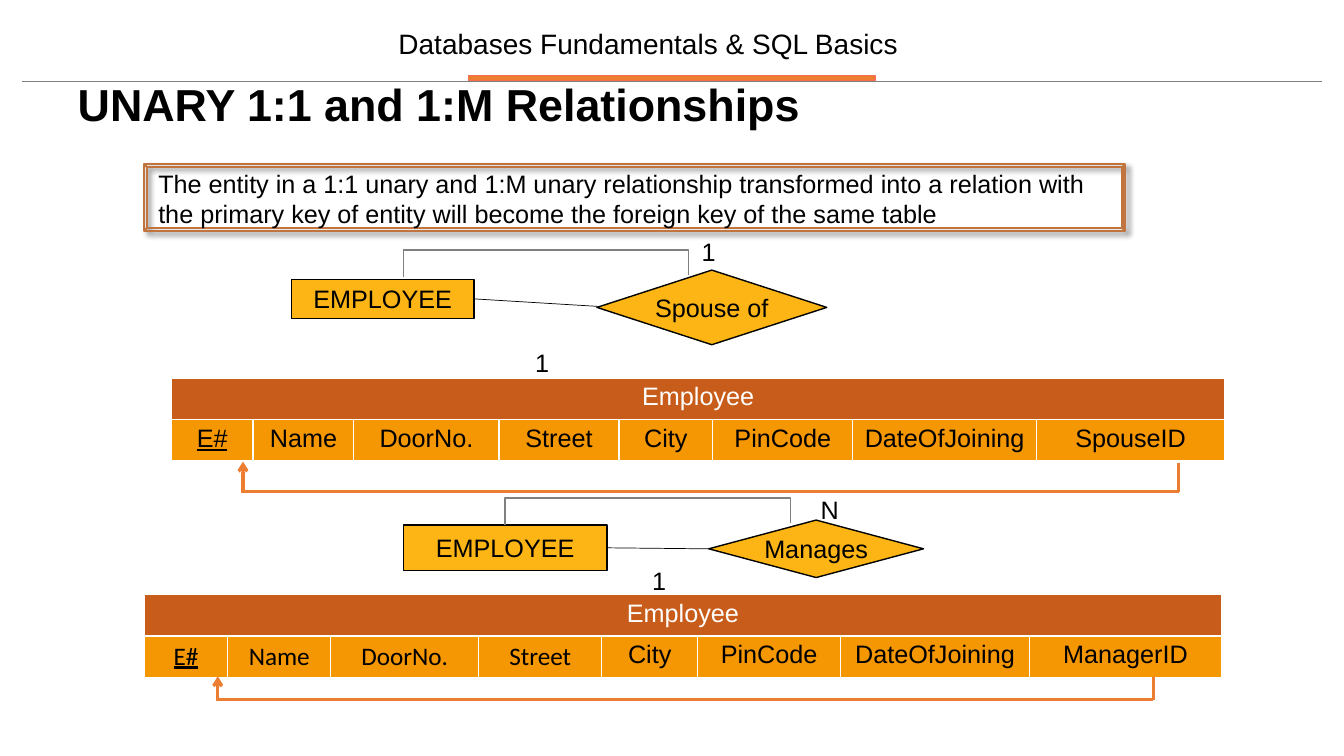
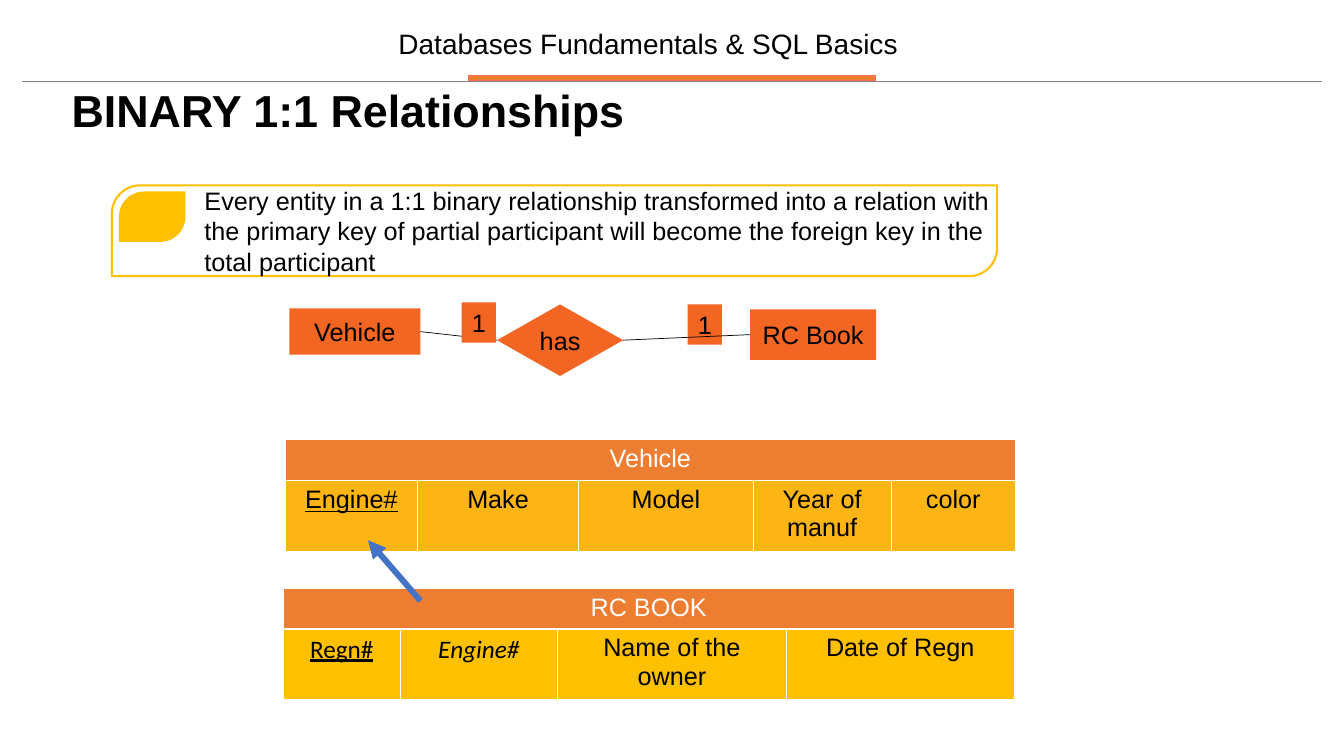
"""Build two slides on turning unary and binary relationships into relations."""
import dataclasses
import typing

import lxml.etree
import pptx
import pptx.dml.color
import pptx.enum.shapes
import pptx.enum.text
import pptx.oxml.ns
import pptx.presentation
import pptx.shapes.autoshape
import pptx.shapes.connector
import pptx.slide
import pptx.text.text
import pptx.util

RGBColor = pptx.dml.color.RGBColor
Slide = pptx.slide.Slide
Shape = pptx.shapes.autoshape.Shape
Connector = pptx.shapes.connector.Connector
Kind = pptx.enum.shapes.MSO_SHAPE
Line = pptx.enum.shapes.MSO_CONNECTOR
Anchor = pptx.enum.text.MSO_ANCHOR
Align = pptx.enum.text.PP_ALIGN
qn = pptx.oxml.ns.qn

EMU_PER_PX = 9144
BODY_FONT = "Arial"
CELL_FONT = "Calibri"
TITLE_SIZE, HEADER_SIZE, BODY_SIZE = 32, 20, 18

BLACK = RGBColor(0x00, 0x00, 0x00)
WHITE = RGBColor(0xFF, 0xFF, 0xFF)
GREY = RGBColor(0x80, 0x80, 0x80)
CORAL = RGBColor(0xF4, 0x6F, 0x4F)
ORANGE = RGBColor(0xED, 0x7D, 0x31)
VIVID_ORANGE = RGBColor(0xF2, 0x65, 0x22)
RUST = RGBColor(0xC8, 0x5C, 0x1A)
BRONZE = RGBColor(0xC2, 0x74, 0x3F)
AMBER = RGBColor(0xFD, 0xB5, 0x15)
DEEP_AMBER = RGBColor(0xF5, 0x96, 0x03)
GOLD = RGBColor(0xFF, 0xC0, 0x00)
BLUE = RGBColor(0x44, 0x72, 0xC4)


class Box(typing.NamedTuple):
    """A rectangle in px."""
    left: int
    top: int
    width: int
    height: int

    def emu(self) -> list[int]:
        """Return the four lengths in EMU."""
        return [px(length) for length in self]


class Point(typing.NamedTuple):
    """A position in px."""
    x: int
    y: int


@dataclasses.dataclass(frozen=True)
class Column:
    """One attribute of a relation."""
    text: str
    width: int
    font: str = BODY_FONT
    underline: bool = False
    italic: bool = False


@dataclasses.dataclass(frozen=True)
class Relation:
    """A relation drawn as a table with a merged heading."""
    name: str
    origin: Point
    row_heights: tuple[int, int]
    heading_fill: RGBColor
    fill: RGBColor
    columns: tuple[Column, ...]


@dataclasses.dataclass(frozen=True)
class UnaryDiagram:
    """An entity related to itself, with its loop, labels and key link."""
    entity: Box
    verb: str
    diamond: Box
    link_end: Point | None
    loop_start: Point
    labels: tuple[tuple[str, Box], ...]
    relation: Relation
    key_tip: Point
    key_right: int
    key_base: int


def px(length: float) -> int:
    """Turn px into EMU."""
    return int(length * EMU_PER_PX)


def format_paragraph(paragraph: pptx.text.text._Paragraph, size: int = BODY_SIZE,
                     color: RGBColor = BLACK, name: str = BODY_FONT,
                     align: Align = Align.LEFT) -> None:
    """Set the alignment and font of a paragraph."""
    paragraph.alignment = align
    paragraph.font.size = pptx.util.Pt(size)
    paragraph.font.name = name
    paragraph.font.color.rgb = color


def add_text(slide: Slide, text: str, box: Box, size: int = BODY_SIZE,
             align: Align = Align.LEFT) -> Shape:
    """Add a wrapped text box."""
    shape = slide.shapes.add_textbox(*box.emu())
    shape.text_frame.word_wrap = True
    shape.text_frame.text = text
    format_paragraph(shape.text_frame.paragraphs[0], size, align=align)
    return shape


def add_shape(slide: Slide, kind: Kind, box: Box, fill: RGBColor | None = None,
              outline: RGBColor | None = None, weight: float = 1, text: str = "",
              adjustments: tuple[float, ...] = ()) -> Shape:
    """Add a preset shape with optional centred text."""
    shape = slide.shapes.add_shape(kind, *box.emu())
    shape.shadow.inherit = False
    for index, value in enumerate(adjustments):
        shape.adjustments[index] = value
    if fill is None:
        shape.fill.background()
    else:
        shape.fill.solid()
        shape.fill.fore_color.rgb = fill
    if outline is None:
        shape.line.fill.background()
    else:
        shape.line.color.rgb = outline
        shape.line.width = pptx.util.Pt(weight)
    if text:
        frame = shape.text_frame
        frame.text = text
        frame.vertical_anchor = Anchor.MIDDLE
        if kind == Kind.FLOWCHART_DECISION:
            frame.margin_left = frame.margin_right = 0
            frame.margin_top = frame.margin_bottom = 0
        format_paragraph(frame.paragraphs[0], align=Align.CENTER)
    return shape


def add_line(slide: Slide, start: Point, end: Point, color: RGBColor = BLACK,
             weight: float = 0.5, arrow: str = "", kind: Line = Line.STRAIGHT) -> Connector:
    """Add a connector, with an arrowhead at its end if one is named."""
    connector = slide.shapes.add_connector(kind, *map(px, (*start, *end)))
    connector.line.color.rgb = color
    connector.line.width = pptx.util.Pt(weight)
    properties = connector.element.find(qn("p:spPr"))
    if arrow:
        lxml.etree.SubElement(properties.find(qn("a:ln")), qn("a:tailEnd"), type=arrow)
    lxml.etree.SubElement(properties, qn("a:effectLst"))
    return connector


def add_loop(slide: Slide, start: Point) -> None:
    """Add an elbow connector that rises from the start and drops to its left."""
    span, drop, rise = 283, 2, 25
    end = Point(start.x - span, start.y + drop)
    connector = add_line(slide, start, end, GREY, 1, kind=Line.ELBOW)
    connector.left = px((start.x + end.x - drop) / 2)
    connector.top = px((start.y + end.y - span) / 2)
    connector.width, connector.height = px(drop), px(span)
    transform = connector.element.find(f"{qn('p:spPr')}/{qn('a:xfrm')}")
    for name, value in (("rot", "16200000"), ("flipH", "1"), ("flipV", "1")):
        transform.set(name, value)
    geometry = connector.element.find(f"{qn('p:spPr')}/{qn('a:prstGeom')}")
    guides = geometry.find(qn("a:avLst"))
    if guides is None:
        guides = lxml.etree.SubElement(geometry, qn("a:avLst"))
    lxml.etree.SubElement(guides, qn("a:gd"), name="adj1",
                          fmla=f"val {-rise * 100000 // drop}")


def add_key_link(slide: Slide, tip: Point, right: int, base: int) -> None:
    """Add the bracket that leads from a foreign key to the primary key."""
    add_line(slide, Point(right, base), Point(tip.x - 2, base), ORANGE, 2.25)
    add_line(slide, Point(right, tip.y + 1), Point(right, base), ORANGE, 2.25)
    add_line(slide, Point(tip.x, base), tip, ORANGE, 2.25, "arrow")


def set_borders(cell: typing.Any) -> None:
    """Give a cell thin white borders."""
    properties = cell._tc.get_or_add_tcPr()
    for index, side in enumerate(("lnL", "lnR", "lnT", "lnB")):
        border = lxml.etree.Element(qn(f"a:{side}"), w=str(pptx.util.Pt(1)))
        fill = lxml.etree.SubElement(border, qn("a:solidFill"))
        lxml.etree.SubElement(fill, qn("a:srgbClr"), val=str(WHITE))
        properties.insert(index, border)


def add_relation(slide: Slide, relation: Relation) -> None:
    """Add a relation as a two-row table."""
    columns = relation.columns
    box = Box(*relation.origin, sum(column.width for column in columns),
              sum(relation.row_heights))
    table = slide.shapes.add_table(2, len(columns), *box.emu()).table
    table.first_row = table.horz_banding = False
    for row, height in zip(table.rows, relation.row_heights):
        row.height = px(height)
    for index, column in enumerate(columns):
        table.columns[index].width = px(column.width)
        heading, cell = table.cell(0, index), table.cell(1, index)
        for target, fill in ((heading, relation.heading_fill), (cell, relation.fill)):
            target.fill.solid()
            target.fill.fore_color.rgb = fill
            set_borders(target)
        cell.text = column.text
        paragraph = cell.text_frame.paragraphs[0]
        format_paragraph(paragraph, name=column.font, align=Align.CENTER)
        paragraph.font.underline = column.underline
        paragraph.font.italic = column.italic
    heading = table.cell(0, 0)
    heading.merge(table.cell(0, len(columns) - 1))
    heading.text = relation.name
    format_paragraph(heading.text_frame.paragraphs[0], color=WHITE, align=Align.CENTER)


def add_unary_diagram(slide: Slide, diagram: UnaryDiagram) -> None:
    """Draw one unary relationship and the relation it becomes."""
    entity = add_shape(slide, Kind.RECTANGLE, diagram.entity, AMBER, BLACK, text="EMPLOYEE")
    link_end = diagram.link_end or Point(diagram.diamond.left, diagram.diamond.top)
    link = add_line(slide, Point(diagram.entity.left, diagram.entity.top), link_end)
    link.begin_connect(entity, 3)
    diamond = add_shape(slide, Kind.FLOWCHART_DECISION, diagram.diamond, AMBER, BLACK,
                        text=diagram.verb)
    if diagram.link_end is None:
        link.end_connect(diamond, 1)
    add_loop(slide, diagram.loop_start)
    add_relation(slide, diagram.relation)
    add_key_link(slide, diagram.key_tip, diagram.key_right, diagram.key_base)
    for text, box in diagram.labels:
        add_text(slide, text, box)


def add_titled_slide(presentation: pptx.presentation.Presentation, title: str,
                     origin: Point) -> Slide:
    """Add a slide with a formatted title."""
    slide = presentation.slides.add_slide(presentation.slide_layouts[5])
    shape = slide.shapes.title
    shape.left, shape.top, shape.width, shape.height = Box(*origin, 1231, 78).emu()
    frame = shape.text_frame
    frame.text = title
    frame.vertical_anchor = Anchor.TOP
    frame.auto_size = pptx.enum.text.MSO_AUTO_SIZE.NONE
    paragraph = frame.paragraphs[0]
    paragraph.line_spacing = 0.9
    format_paragraph(paragraph, TITLE_SIZE)
    paragraph.font.bold = True
    return slide


def move_header_to_layout(slide: Slide) -> None:
    """Draw the course header and hand it to the layout of the slide."""
    rule = add_line(slide, Point(22, 81), Point(1311, 81), CORAL, 0.75)
    rule.line.color.rgb = GREY
    band = add_shape(slide, Kind.RECTANGLE, Box(465, 75, 403, 5), ORANGE, CORAL)
    course = add_text(slide, "Databases Fundamentals & SQL Basics", Box(375, 26, 536, 38),
                      HEADER_SIZE, Align.CENTER)
    course.text_frame.vertical_anchor = Anchor.MIDDLE
    course.text_frame.paragraphs[0].line_spacing = 0.9
    for number, shape in enumerate((rule, band, course), 20):
        shape.element.xpath(".//p:cNvPr")[0].set("id", str(number))
        slide.slide_layout.shapes.element.append(shape.element)


def employee_relation(origin: Point, widths: tuple[int, ...], foreign_key: str,
                      calibri_count: int) -> Relation:
    """Describe an employee relation whose first columns may use the cell font."""
    names = ("E#", "Name", "DoorNo.", "Street", "City", "PinCode", "DateOfJoining", foreign_key)
    columns = tuple(
        Column(name, width, CELL_FONT if index < calibri_count else BODY_FONT, index == 0)
        for index, (name, width) in enumerate(zip(names, widths)))
    return Relation("Employee", origin, (41, 41), RUST, DEEP_AMBER, columns)


UNARY_DIAGRAMS = (
    UnaryDiagram(
        Box(289, 277, 181, 39), "Spouse of", Box(592, 268, 228, 74), Point(610, 305),
        Point(683, 273), (("1", Box(521, 340, 34, 40)), ("1", Box(686, 230, 37, 40))),
        employee_relation(Point(170, 375), (81, 100, 144, 119, 93, 139, 182, 187), "SpouseID", 0),
        Point(241, 458), 1169, 488),
    UnaryDiagram(
        Box(400, 521, 202, 45), "Manages", Box(703, 516, 213, 57), None,
        Point(784, 519), (("1", Box(637, 556, 34, 40)), ("N", Box(804, 485, 48, 40))),
        employee_relation(Point(143, 590), (83, 102, 147, 122, 95, 142, 187, 191), "ManagerID", 4),
        Point(216, 671), 1144, 694),
)

BINARY_RELATIONS = (
    Relation("RC BOOK", Point(281, 584), (40, 70), ORANGE, GOLD, (
        Column("Regn#", 116, CELL_FONT, underline=True),
        Column("Engine#", 156, CELL_FONT, italic=True),
        Column("Name of the owner", 227), Column("Date of Regn", 226))),
    Relation("Vehicle", Point(283, 436), (41, 70), ORANGE, AMBER, (
        Column("Engine#", 131, underline=True), Column("Make", 160), Column("Model", 173),
        Column("Year of manuf", 137), Column("color", 123))),
)


def build_unary_slide(slide: Slide) -> None:
    """Fill the slide on unary relationships."""
    for diagram in UNARY_DIAGRAMS:
        add_unary_diagram(slide, diagram)
    frame = add_shape(slide, Kind.BEVEL, Box(143, 163, 973, 66), None, BRONZE, 1.5,
                      adjustments=(0.04,))
    effects = frame.element.find(f"{qn('p:spPr')}/{qn('a:effectLst')}")
    shadow = lxml.etree.SubElement(
        effects, qn("a:outerShdw"), blurRad=str(pptx.util.Pt(4)), dist=str(pptx.util.Pt(3)),
        dir="2700000", algn="tl", rotWithShape="0")
    color = lxml.etree.SubElement(shadow, qn("a:srgbClr"), val=str(BLACK))
    lxml.etree.SubElement(color, qn("a:alpha"), val="40000")
    rule = add_text(slide, "The entity in a 1:1 unary and 1:M unary relationship transformed into "
                    "a relation with the primary key of entity will become the foreign key of "
                    "the same table", Box(143, 162, 967, 71))
    rule.text_frame.margin_left = px(14)


def build_binary_slide(slide: Slide) -> None:
    """Fill the slide on binary relationships."""
    add_shape(slide, Kind.ROUND_2_DIAG_RECTANGLE, Box(111, 184, 878, 90), WHITE, GOLD, 1.5,
              adjustments=(0.31, 0))
    add_shape(slide, Kind.ROUND_2_DIAG_RECTANGLE, Box(118, 190, 66, 50), GOLD,
              adjustments=(0.5, 0))
    add_text(slide, "Every entity in a 1:1 binary relationship transformed into a relation with "
             "the primary key of partial participant will become the foreign key in the total "
             "participant", Box(193, 179, 814, 101))
    diamond = add_shape(slide, Kind.FLOWCHART_DECISION, Box(493, 302, 125, 71), VIVID_ORANGE,
                        text="has")
    book = add_shape(slide, Kind.RECTANGLE, Box(744, 307, 125, 50), VIVID_ORANGE, text="RC Book")
    vehicle = add_shape(slide, Kind.RECTANGLE, Box(287, 306, 130, 46), VIVID_ORANGE,
                        text="Vehicle")
    links = [add_line(slide, Point(417, 329), Point(493, 337))]
    for box in (Box(458, 300, 34, 40), Box(682, 302, 34, 40)):
        add_shape(slide, Kind.RECTANGLE, box, VIVID_ORANGE, text="1")
    links.append(add_line(slide, Point(618, 337), Point(744, 333)))
    for link, begin, end in zip(links, (vehicle, diamond), (diamond, book)):
        link.begin_connect(begin, 3)
        link.end_connect(end, 1)
    for relation in BINARY_RELATIONS:
        add_relation(slide, relation)
    add_line(slide, Point(417, 596), Point(365, 536), BLUE, 4.25, "triangle")


def main() -> None:
    """Build and save the presentation."""
    presentation = pptx.Presentation()
    presentation.slide_width, presentation.slide_height = px(1333), px(750)
    unary = add_titled_slide(presentation, "UNARY 1:1 and 1:M Relationships", Point(67, 77))
    move_header_to_layout(unary)
    build_unary_slide(unary)
    build_binary_slide(
        add_titled_slide(presentation, "BINARY 1:1 Relationships", Point(61, 83)))
    presentation.save("out.pptx")


if __name__ == "__main__":
    main()
